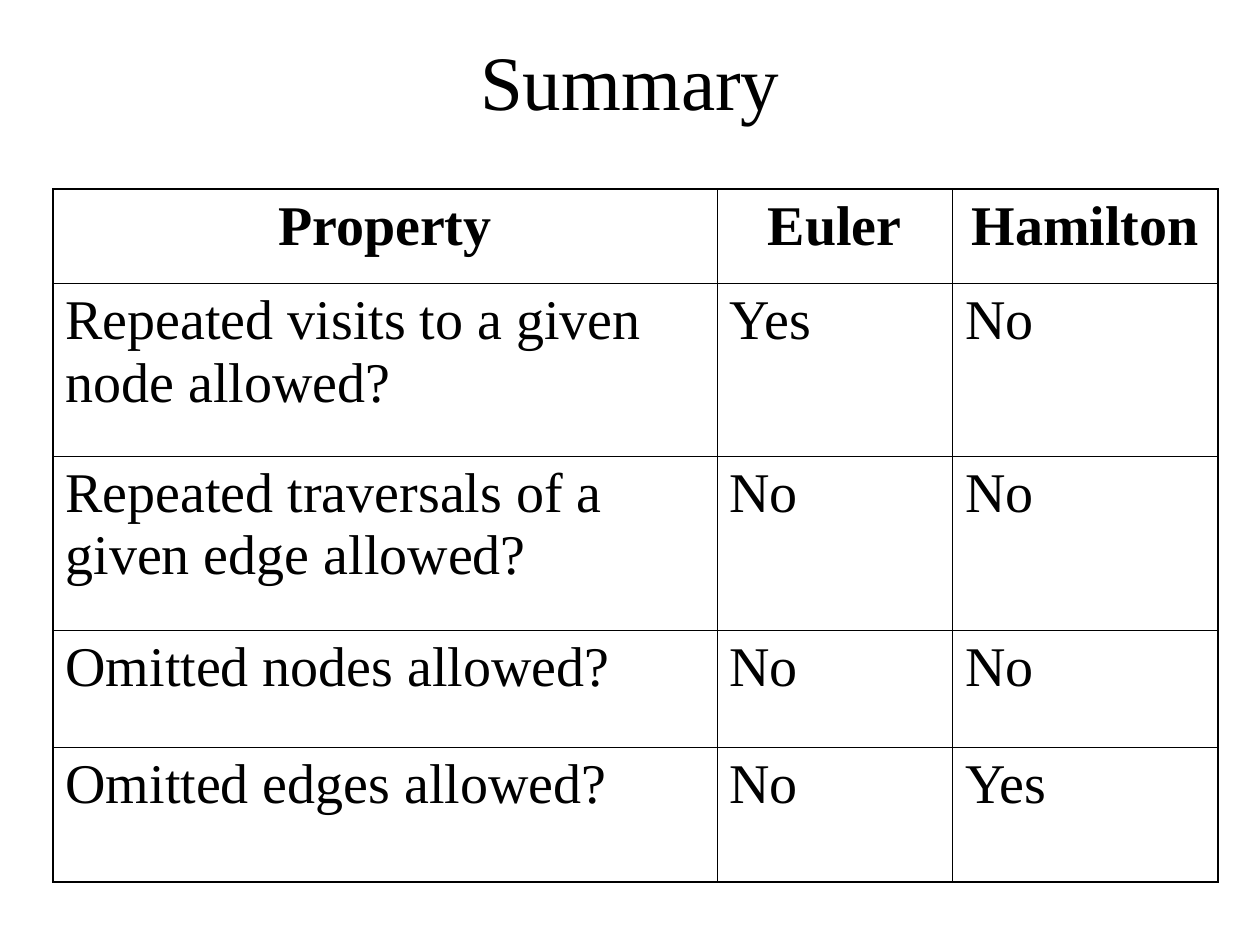
from pptx import Presentation, util as u
from pptx.dml.color import RGBColor
from pptx.enum import text as t
from pptx.oxml import parse_xml
from pptx.oxml.ns import nsdecls

HEAD = ["Property", "Euler", "Hamilton"]
ROWS = [
    ["Repeated visits to a given node allowed?", "Yes", "No"],
    ["Repeated traversals of a given edge allowed?", "No", "No"],
    ["Omitted nodes allowed?", "No", "No"],
    ["Omitted edges allowed?", "No", "Yes"],
]
WIDTHS = [5.27, 1.87, 2.11]
HEIGHTS = [0.75, 1.37, 1.38, 0.93, 1.07]


def color(code):
    return RGBColor.from_string(code)


def write(frame, words, size=32, bold=False, center=False,
          font="Times New Roman", ink="000000"):
    para = frame.paragraphs[0]
    para.alignment = t.PP_ALIGN.CENTER if center else t.PP_ALIGN.LEFT
    run = para.add_run()
    run.text = words
    run.font.name = font
    run.font.size = u.Pt(size)
    run.font.bold = bold
    run.font.color.rgb = color(ink)


class Deck:
    ink = "000000"
    thick, thin = 1.08, 0.45

    def __init__(self, wide, high):
        self.prs = Presentation()
        self.prs.slide_width = u.Inches(wide)
        self.prs.slide_height = u.Inches(high)
        self.slide = self.prs.slides.add_slide(self.prs.slide_layouts[6])

    def title(self, words, *box):
        frame = self.slide.shapes.add_textbox(*map(u.Inches, box)).text_frame
        frame.word_wrap = True
        frame.vertical_anchor = t.MSO_ANCHOR.MIDDLE
        write(frame, words, size=44, center=True, ink=self.ink)

    def edge(self, cell, side, width):
        cell._tc.get_or_add_tcPr().append(parse_xml(
            f'<a:ln{side} {nsdecls("a")} w="{u.Pt(width)}"><a:solidFill>'
            f'<a:srgbClr val="{self.ink}"/></a:solidFill></a:ln{side}>'))

    def table(self, rows, widths, heights, left, top):
        box = map(u.Inches, (left, top, sum(widths), sum(heights)))
        grid = self.slide.shapes.add_table(len(rows), len(widths), *box).table
        grid.first_row = grid.horz_banding = False
        for col, width in zip(grid.columns, widths):
            col.width = u.Inches(width)
        for row, height in zip(grid.rows, heights):
            row.height = u.Inches(height)
        for r, row in enumerate(rows):
            for c, words in enumerate(row):
                cell = grid.cell(r, c)
                write(cell.text_frame, words, bold=r == 0, center=r == 0,
                      ink=self.ink)
                # Thick frame and header rule, thin inner lines
                heavy = {"L": c == 0, "R": c == len(widths) - 1,
                         "T": r <= 1, "B": r in (0, len(rows) - 1)}
                for side, bold in heavy.items():
                    self.edge(cell, side, self.thick if bold else self.thin)
                cell.fill.background()


def main():
    deck = Deck(10, 7.5)
    # Heading
    deck.title("Summary", 0.5, 0.17, 9, 0.92)
    # Comparison table
    deck.table([HEAD] + ROWS, WIDTHS, HEIGHTS, 0.42, 1.5)
    deck.prs.save("out.pptx")


if __name__ == "__main__":
    main()
